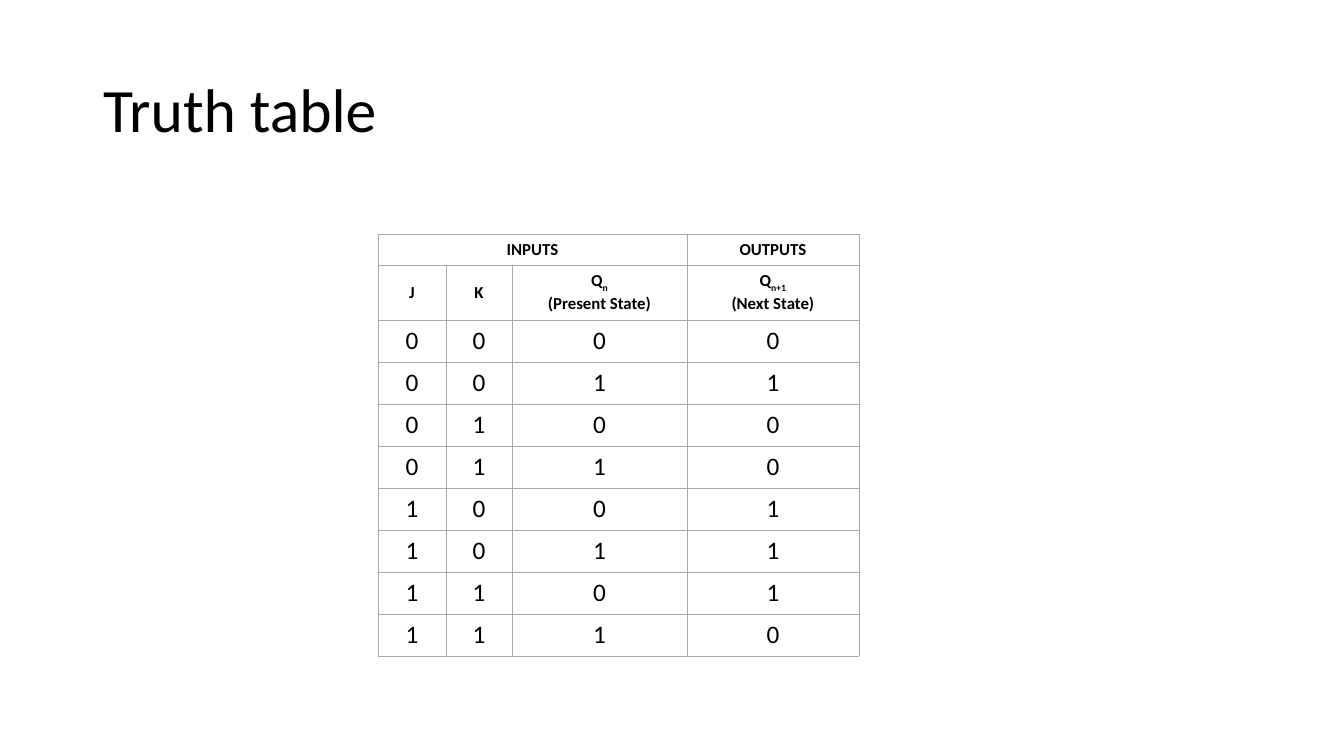
from lxml import etree
from pptx import Presentation
from pptx.dml.color import RGBColor
from pptx.enum.text import MSO_ANCHOR, MSO_AUTO_SIZE, PP_ALIGN
from pptx.oxml.ns import qn
from pptx.util import Pt

MIDDLE = MSO_ANCHOR.MIDDLE
NO_FIT = MSO_AUTO_SIZE.NONE
LEFT, CENTER = PP_ALIGN.LEFT, PP_ALIGN.CENTER

HEADING = "Truth table"
GROUPS = ["INPUTS", "", "", "OUTPUTS"]
SIGNALS = ["J", "K", "Q\n(Present State)", "Q\n(Next State)"]
SUBSCRIPTS = {2: "n", 3: "n+1"}
STATES = [
    (0, 0, 0, 0),
    (0, 0, 1, 1),
    (0, 1, 0, 0),
    (0, 1, 1, 0),
    (1, 0, 0, 1),
    (1, 0, 1, 1),
    (1, 1, 0, 1),
    (1, 1, 1, 0),
]
COLORS = {"text": "000000", "cell": "FFFFFF", "border": "AAAAAA"}
FONT = "Calibri"
HEADING_BOX = (93, 40, 1159, 146)
TABLE_ORIGIN = (378, 234)
COLUMN_WIDTHS = [68, 66, 175, 172]
ROW_HEIGHTS = [31, 55] + [42] * len(STATES)
MARGIN_X, MARGIN_Y = 7, 5
BORDER_WIDTH = Pt(0.5)
EMU_PER_PX = 914400 / 100.8


def px(length):
    return round(length * EMU_PER_PX)


def style_font(font, size, bold=False):
    font.name = FONT
    font.size = Pt(size)
    font.bold = bold
    font.color.rgb = RGBColor.from_string(COLORS["text"])


def add_borders(cell):
    properties = cell._tc.get_or_add_tcPr()
    for position, side in enumerate(("lnL", "lnR", "lnT", "lnB")):
        line = etree.Element(qn(f"a:{side}"), w=str(BORDER_WIDTH))
        fill = etree.SubElement(line, qn("a:solidFill"))
        etree.SubElement(fill, qn("a:srgbClr"), val=COLORS["border"])
        properties.insert(position, line)


def fill_cell(cell, text, subscript, size, bold):
    cell.text_frame.text = text
    paragraphs = cell.text_frame.paragraphs
    if subscript:
        run = paragraphs[0].add_run()
        run.text = subscript
        run._r.get_or_add_rPr().set("baseline", "-25000")
    for paragraph in paragraphs:
        paragraph.alignment = CENTER
        for run in paragraph.runs:
            style_font(run.font, size, bold)
    cell.vertical_anchor = MIDDLE
    cell.margin_left = cell.margin_right = px(MARGIN_X)
    cell.margin_top = cell.margin_bottom = px(MARGIN_Y)
    cell.fill.solid()
    cell.fill.fore_color.rgb = RGBColor.from_string(COLORS["cell"])
    add_borders(cell)


def add_heading(slide):
    heading = slide.shapes.title
    heading.left, heading.top, heading.width, heading.height = map(px, HEADING_BOX)
    frame = heading.text_frame
    frame.text = HEADING
    frame.vertical_anchor = MIDDLE
    frame.auto_size = NO_FIT
    paragraph = frame.paragraphs[0]
    paragraph.alignment = LEFT
    paragraph.line_spacing = 0.9
    style_font(paragraph.runs[0].font, 44)


def add_truth_table(slide):
    rows = [GROUPS, SIGNALS, *STATES]
    left, top = TABLE_ORIGIN
    bounds = map(px, (left, top, sum(COLUMN_WIDTHS), sum(ROW_HEIGHTS)))
    table = slide.shapes.add_table(len(rows), len(COLUMN_WIDTHS), *bounds).table
    table.first_row = table.horz_banding = False
    for column, width in zip(table.columns, COLUMN_WIDTHS):
        column.width = px(width)
    for row, height in zip(table.rows, ROW_HEIGHTS):
        row.height = px(height)
    for r, values in enumerate(rows):
        is_header = r < 2
        for c, value in enumerate(values):
            subscript = SUBSCRIPTS.get(c) if r == 1 else None
            fill_cell(table.cell(r, c), str(value), subscript, 12 if is_header else 18, is_header)
    table.cell(0, 0).merge(table.cell(0, 2))


def main():
    deck = Presentation()
    deck.slide_width, deck.slide_height = px(1344), px(756)
    slide = deck.slides.add_slide(deck.slide_layouts[5])
    add_heading(slide)
    add_truth_table(slide)
    deck.save("out.pptx")


if __name__ == "__main__":
    main()
